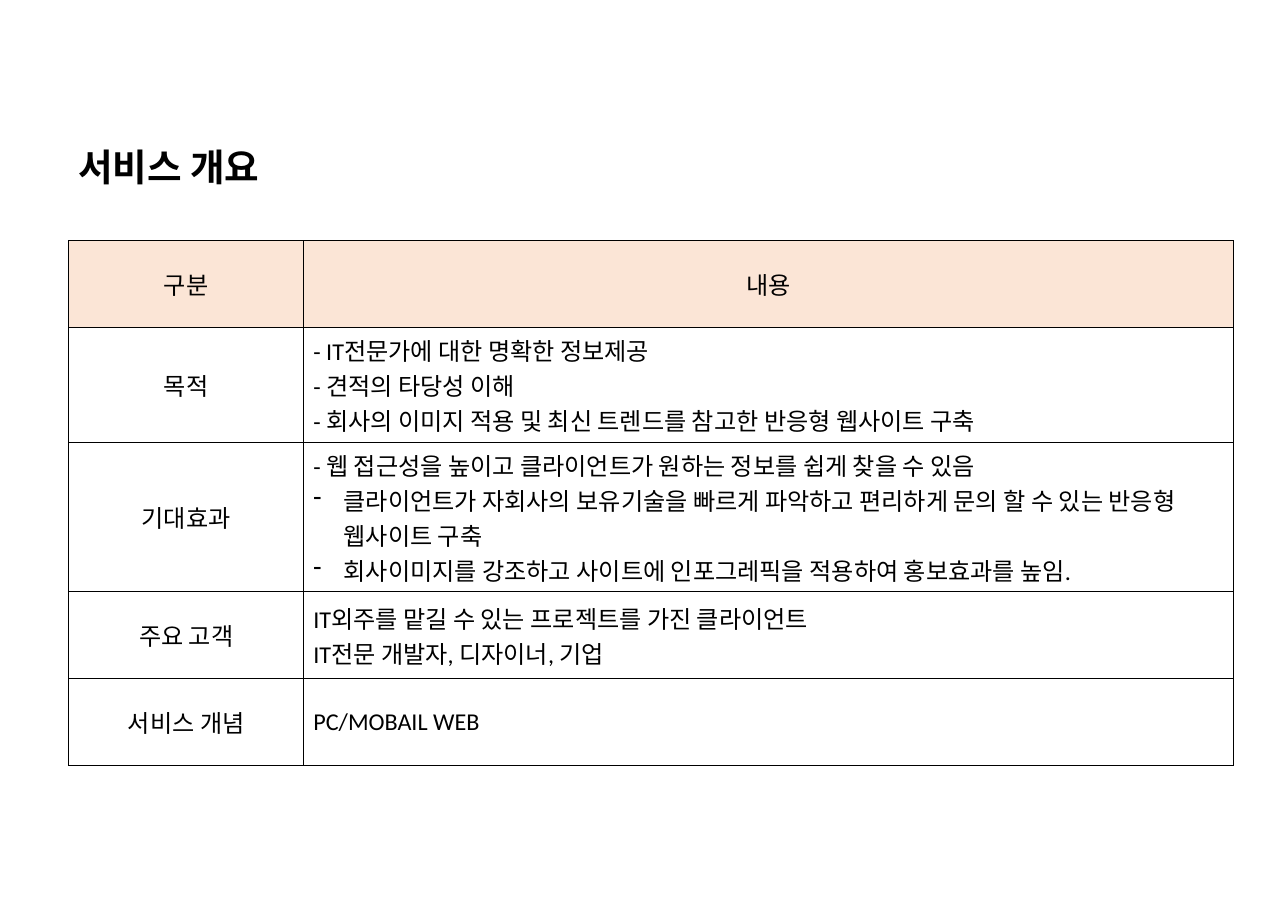
"""Build the service overview slide with its title and summary table."""
import pptx
import pptx.dml.color
import pptx.enum.text
import pptx.oxml
import pptx.oxml.ns
import pptx.util

Pt = pptx.util.Pt
ALIGN = pptx.enum.text.PP_ALIGN
BLACK = pptx.dml.color.RGBColor(0x00, 0x00, 0x00)
PEACH = pptx.dml.color.RGBColor(0xFB, 0xE5, 0xD6)
HANGING_INDENT = Pt(22.5)

HEADINGS = ("구분", "내용")
OVERVIEW = (
    ("목적", (
        "- IT전문가에 대한 명확한 정보제공",
        "- 견적의 타당성 이해",
        "- 회사의 이미지 적용 및 최신 트렌드를 참고한 반응형 웹사이트 구축",
    ), ()),
    ("기대효과", (
        "- 웹 접근성을 높이고 클라이언트가 원하는 정보를 쉽게 찾을 수 있음",
        "클라이언트가 자회사의 보유기술을 빠르게 파악하고 편리하게 문의 할 수 있는 반응형 웹사이트 구축",
        "회사이미지를 강조하고 사이트에 인포그레픽을 적용하여 홍보효과를 높임.",
    ), (1, 2)),
    ("주요 고객", (
        "IT외주를 맡길 수 있는 프로젝트를 가진 클라이언트",
        "IT전문 개발자, 디자이너, 기업",
    ), ()),
    ("서비스 개념", ("PC/MOBAIL WEB",), ()),
)


class OverviewSlide:
    def __init__(self, slide, font="Calibri", body_size=18, title_size=28):
        self.slide = slide
        self.font = font
        self.body_size = body_size
        self.title_size = title_size

    def set_text(self, frame, lines, size, bold=False, align=ALIGN.LEFT):
        frame.text = "\n".join(lines)
        for paragraph in frame.paragraphs:
            paragraph.alignment = align
            for run in paragraph.runs:
                run.font.name = self.font
                run.font.size = Pt(size)
                run.font.bold = bold
                run.font.color.rgb = BLACK

    def title(self, text, left, top, width, height):
        heading = self.slide.shapes.add_textbox(Pt(left), Pt(top), Pt(width), Pt(height))
        heading.text_frame.word_wrap = False
        heading.text_frame.auto_size = pptx.enum.text.MSO_AUTO_SIZE.SHAPE_TO_FIT_TEXT
        self.set_text(heading.text_frame, [text], self.title_size, bold=True)

    def border(self, cell):
        properties = cell._tc.get_or_add_tcPr()
        for side in ("lnL", "lnR", "lnT", "lnB"):
            properties.append(pptx.oxml.parse_xml(
                f'<a:{side} {pptx.oxml.ns.nsdecls("a")} w="{Pt(1)}"><a:solidFill>'
                f'<a:srgbClr val="{BLACK}"/></a:solidFill></a:{side}>'))

    def dash(self, paragraph):
        properties = paragraph._p.get_or_add_pPr()
        properties.set("marL", str(HANGING_INDENT))
        properties.set("indent", str(-HANGING_INDENT))
        properties.append(pptx.oxml.parse_xml(
            f'<a:buChar {pptx.oxml.ns.nsdecls("a")} char="-"/>'))

    def cell(self, cell, lines, align=ALIGN.LEFT, fill=None, dashed=()):
        self.set_text(cell.text_frame, lines, self.body_size, align=align)
        cell.vertical_anchor = pptx.enum.text.MSO_ANCHOR.MIDDLE
        self.border(cell)
        if fill is None:
            cell.fill.background()
        else:
            cell.fill.solid()
            cell.fill.fore_color.rgb = fill
        for index in dashed:
            self.dash(cell.text_frame.paragraphs[index])

    def table(self, left, top, column_widths, row_height):
        row_count = len(OVERVIEW) + 1
        overview = self.slide.shapes.add_table(
            row_count, len(HEADINGS), Pt(left), Pt(top),
            Pt(sum(column_widths)), Pt(row_height * row_count)).table
        overview.first_row = False
        overview.horz_banding = False
        for column, width in zip(overview.columns, column_widths):
            column.width = Pt(width)
        for row in overview.rows:
            row.height = Pt(row_height)
        for column, heading in enumerate(HEADINGS):
            self.cell(overview.cell(0, column), [heading], ALIGN.CENTER, PEACH)
        for row, (topic, details, dashed) in enumerate(OVERVIEW, 1):
            self.cell(overview.cell(row, 0), [topic], ALIGN.CENTER)
            self.cell(overview.cell(row, 1), details, dashed=dashed)


def main():
    presentation = pptx.Presentation()
    presentation.slide_width = Pt(960)
    presentation.slide_height = Pt(677.5)
    page = OverviewSlide(presentation.slides.add_slide(presentation.slide_layouts[6]))
    page.table(51.2, 179.5, (175.2, 693), 64.8)
    page.title("서비스 개요", 51.2, 103.7, 165.6, 41)
    presentation.save("out.pptx")


if __name__ == "__main__":
    main()
